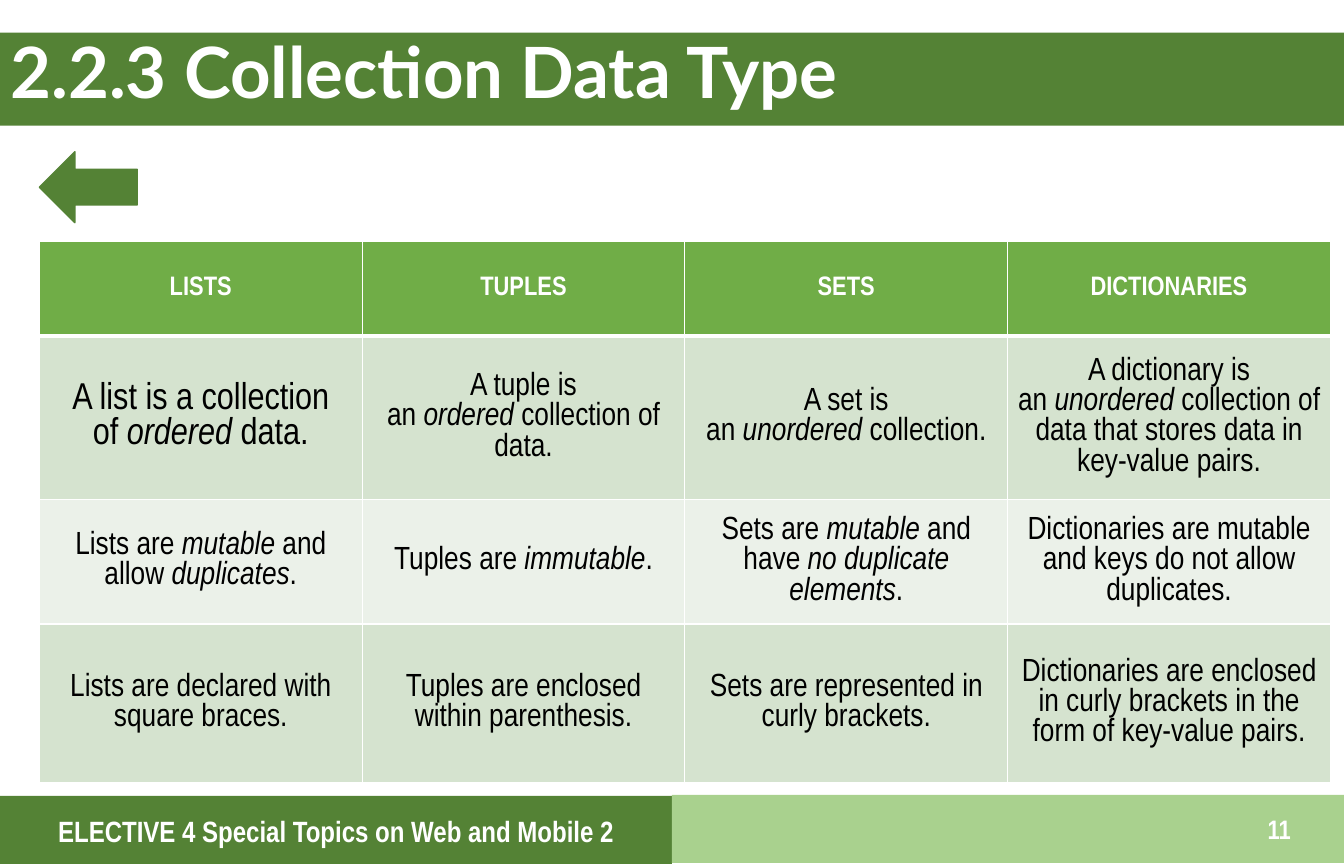
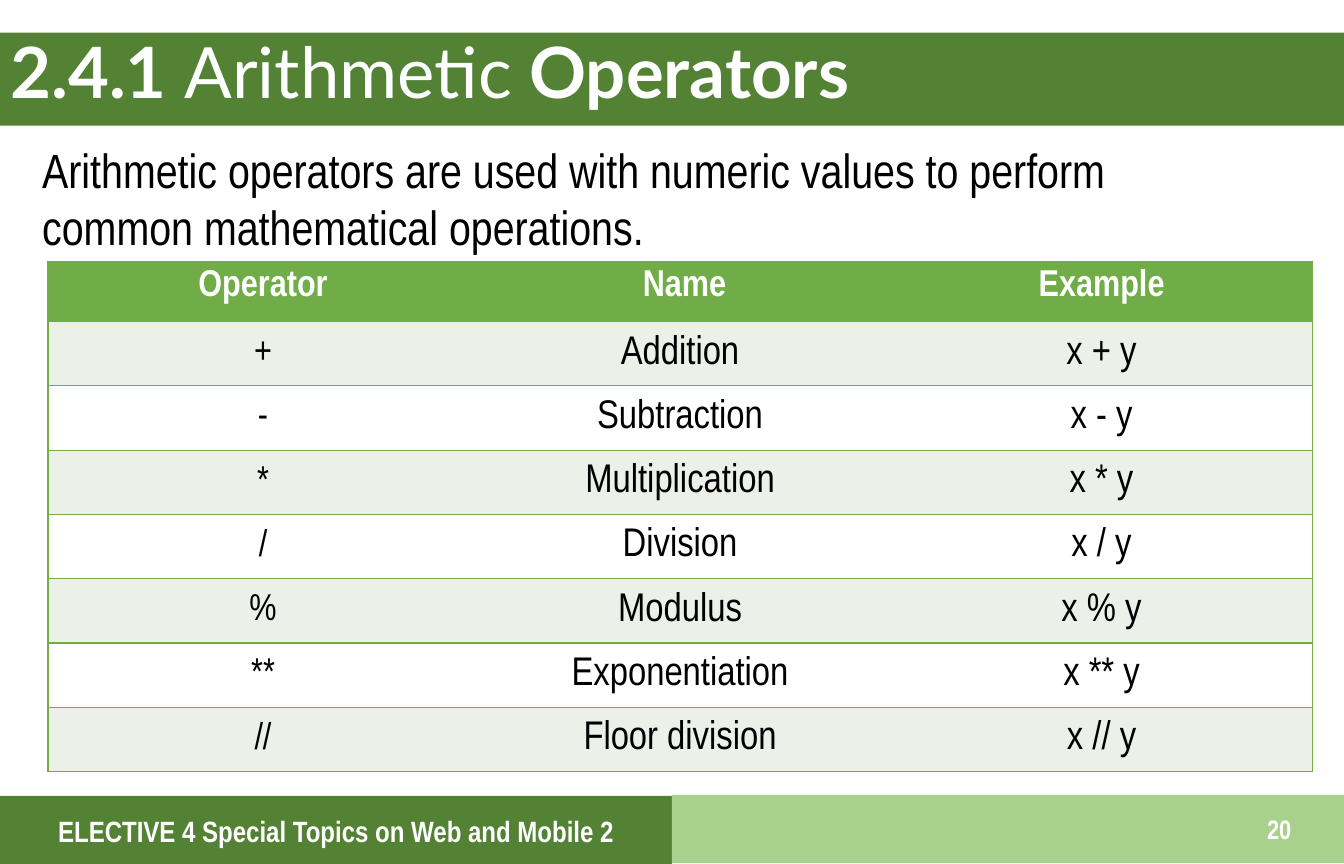
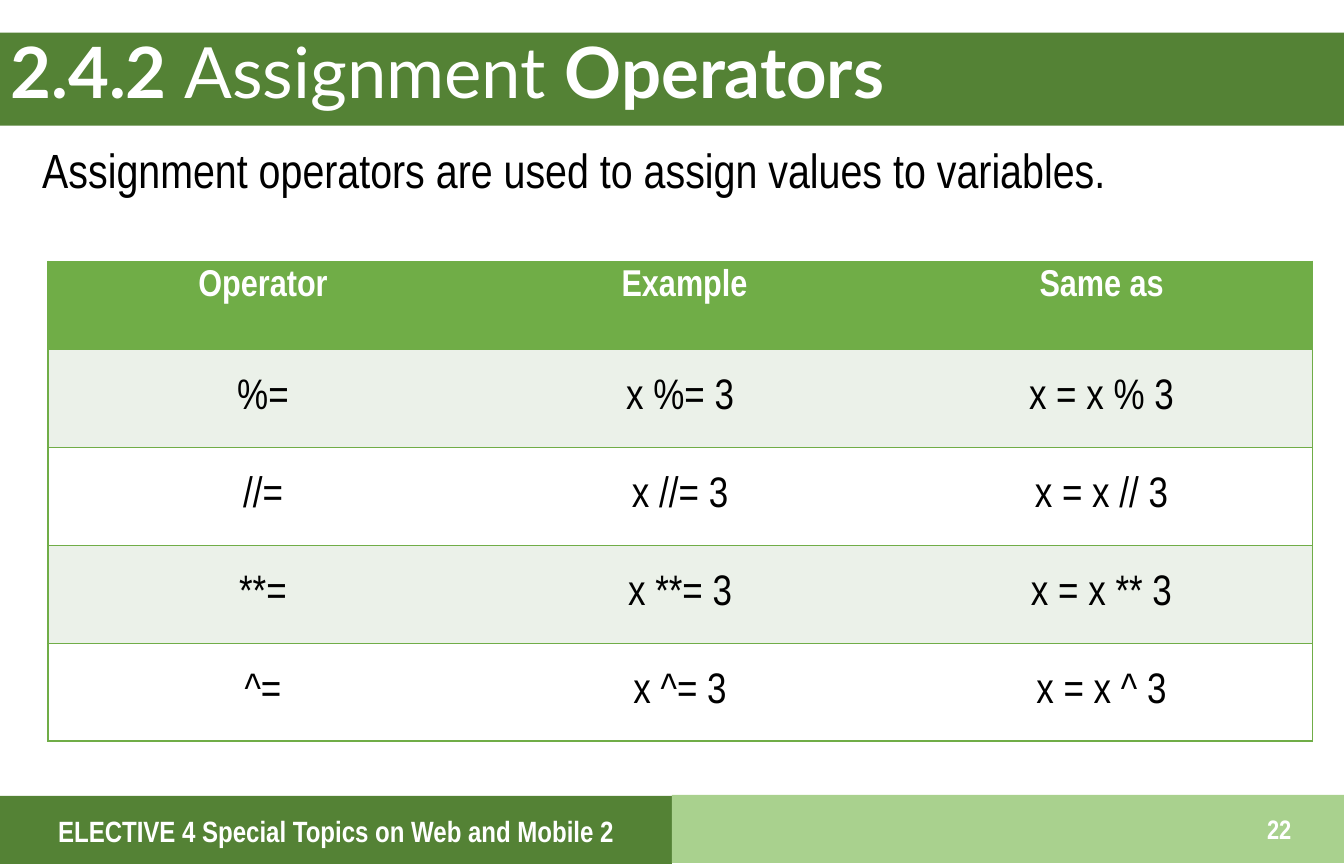
import pptx
import pptx.util
import pptx.dml.color
import pptx.enum.shapes
import pptx.enum.text
import lxml.etree
from pptx.util import Inches, Pt
from pptx.oxml.ns import qn

SHAPE = pptx.enum.shapes.MSO_SHAPE
ALIGN = pptx.enum.text.PP_ALIGN
ANCHOR = pptx.enum.text.MSO_ANCHOR

DARK, MID, LIGHT = "548235", "70AD47", "A9D18E"
BAND, PALE, WHITE, BLACK = "D5E3CF", "EBF1E9", "FFFFFF", "000000"
BODY = "Arial Narrow"
COURSE = "ELECTIVE 4 Special Topics on Web and Mobile 2"
NO_STYLE = "{2D5ABB26-0587-4C30-8999-92F81FD0307C}"
EDGES = ("L", "R", "T", "B")
TIE, HARD_SPACE = "~", chr(160)

COLLECTIONS = [
    ["LISTS", "TUPLES", "SETS", "DICTIONARIES"],
    ["A list is a collection of~|ordered|~data.",
     "A tuple is an~|ordered|~collection of data.",
     "A set is an~|unordered|~collection.",
     "A dictionary is an~|unordered|~collection of data that stores data in key-value pairs."],
    ["Lists are~|mutable| and allow |duplicates|.",
     "Tuples are~|immutable|.",
     "Sets are~|mutable|~and have~|no duplicate elements|.",
     "Dictionaries are mutable and keys do not allow duplicates."],
    ["Lists are declared with square braces.",
     "Tuples are enclosed within parenthesis.",
     "Sets are represented in curly brackets.",
     "Dictionaries are enclosed in curly brackets in the form of key-value pairs."],
]
ARITHMETIC = [("+", "Addition"), ("-", "Subtraction"), ("*", "Multiplication"),
              ("/", "Division"), ("%", "Modulus"), ("**", "Exponentiation"),
              ("//", "Floor division")]
ASSIGNMENT = ["%", "//", "**", "^"]


def rgb(value):
    """Return the colour for a hex string."""
    return pptx.dml.color.RGBColor.from_string(value)


def apply(target, formats):
    """Set every attribute in formats on target."""
    for name, value in formats.items():
        setattr(target, name, value)


def write(tf, text, size, color, font=BODY, bold=False, toggle="italic",
          align=ALIGN.CENTER, spacing=None):
    """Fill one paragraph, flipping the toggle format at bars and hardening ties."""
    p = tf.paragraphs[0]
    apply(p, {"alignment": align, "line_spacing": spacing})
    formats = {"name": font, "size": Pt(size), "bold": bold, "italic": False}
    for part in text.replace(TIE, HARD_SPACE).split("|"):
        r = p.add_run()
        r.text = part
        apply(r.font, formats)
        r.font.color.rgb = rgb(color)
        formats[toggle] = not formats[toggle]


def add_text(s, box, text, size, color, anchor=ANCHOR.TOP, **options):
    """Add a wrapped text box."""
    tf = s.shapes.add_textbox(*map(Inches, box)).text_frame
    apply(tf, {"word_wrap": True, "vertical_anchor": anchor,
               "margin_left": Inches(0.11), "margin_right": Inches(0.11),
               "margin_top": Inches(0.06), "margin_bottom": Inches(0.06)})
    write(tf, text, size, color, **options)


def add_block(s, kind, box, color, outlined=False):
    """Add a flat filled shape."""
    sp = s.shapes.add_shape(kind, *map(Inches, box))
    sp.shadow.inherit = False
    sp.fill.solid()
    sp.fill.fore_color.rgb = rgb(color)
    if outlined:
        sp.line.color.rgb = rgb(color)
        sp.line.width = Pt(1)
    else:
        sp.line.fill.background()


def set_borders(cell, borders):
    """Draw cell edges from a dict of edge to colour and width."""
    tc_pr = cell._tc.get_or_add_tcPr()
    drawn = [edge for edge in EDGES if edge in borders]
    for i, edge in enumerate(drawn):
        color, width = borders[edge]
        ln = lxml.etree.Element(qn(f"a:ln{edge}"), w=str(Pt(width)))
        fill = lxml.etree.SubElement(ln, qn("a:solidFill"))
        lxml.etree.SubElement(fill, qn("a:srgbClr"), val=color)
        tc_pr.insert(i, ln)


def add_grid(s, left, top, width, heights, columns):
    """Add an unstyled table with equal columns."""
    frame = s.shapes.add_table(len(heights), columns, Inches(left), Inches(top),
                               Inches(width), Inches(sum(heights)))
    table = frame.table
    apply(table, {"first_row": False, "horz_banding": False})
    table._tbl.tblPr.find(qn("a:tableStyleId")).text = NO_STYLE
    for row, height in zip(table.rows, heights):
        row.height = Inches(height)
    return table


def fill_cell(cell, text, size, color, fill, borders, anchor, margins, bold=False):
    """Set the text, fill, margins and edges of a cell."""
    apply(cell, {"vertical_anchor": anchor})
    apply(cell, {f"margin_{side}": Inches(m)
                 for side, m in zip(("left", "top", "right", "bottom"), margins)})
    cell.fill.solid()
    cell.fill.fore_color.rgb = rgb(fill)
    set_borders(cell, borders)
    write(cell.text_frame, text, size, color, bold=bold)


def add_comparison(s, rows):
    """Add the banded table that compares collection types."""
    table = add_grid(s, 0.41, 2.51, 13.45, [0.99, 1.65, 1.26, 1.65], len(rows[0]))
    for i, row in enumerate(rows):
        header = i == 0
        fill = MID if header else (PALE, BAND)[i % 2]
        borders = {edge: (WHITE, 1) for edge in EDGES}
        if header:
            borders["B"] = (WHITE, 3)
        elif i == 1:
            borders["T"] = (WHITE, 3)
        for j, text in enumerate(row):
            size = 20 if header else 28 if (i, j) == (1, 0) else 24
            fill_cell(table.cell(i, j), text, size, WHITE if header else BLACK, fill,
                      borders, ANCHOR.MIDDLE, (0.1, 0.05, 0.1, 0.05), bold=header)


def add_operators(s, rows, header_height, row_height, sizes):
    """Add a ruled table of operators."""
    heights = [header_height] + [row_height] * (len(rows) - 1)
    table = add_grid(s, 0.5, 2.72, 13.17, heights, 3)
    for i, row in enumerate(rows):
        header = i == 0
        fill = MID if header else (WHITE, PALE)[i % 2]
        for j, text in enumerate(row):
            edges = ("LTB", "TB", "TBR")[j]
            indent = 0.17 if j == 0 or (header and j == 1) else 0.08
            fill_cell(table.cell(i, j), text, 28 if header else sizes[j],
                      WHITE if header else BLACK, fill,
                      {edge: (MID, 1) for edge in edges},
                      ANCHOR.TOP if header else ANCHOR.MIDDLE,
                      (indent, 0.08, 0.08, 0.08), bold=header)


def add_page(prs, title, number, intro=None):
    """Add a slide with its bands, title, footer and optional intro."""
    s = prs.slides.add_slide(prs.slide_layouts[6])
    for box, color in (((0, 0.34, 14, 0.97), DARK), ((0, 8.29, 7, 0.71), DARK),
                       ((7, 8.28, 7, 0.71), LIGHT)):
        add_block(s, SHAPE.RECTANGLE, box, color)
    add_text(s, (0, 0.3, 12.84, 0.97), title, 53, WHITE, ANCHOR.MIDDLE, font="Lato",
             bold=True, toggle="bold", align=ALIGN.LEFT, spacing=0.9)
    add_text(s, (0, 8.41, 7, 0.48), COURSE, 22, WHITE, ANCHOR.MIDDLE, bold=True)
    add_text(s, (13.04, 8.41, 0.57, 0.48), str(number), 20, WHITE, bold=True)
    if intro:
        add_text(s, (0.33, 1.4, 12.98, 1.32), intro, 36, BLACK, align=ALIGN.LEFT)
    return s


def main():
    """Build and save the slides."""
    prs = pptx.Presentation()
    apply(prs, {"slide_width": Inches(14), "slide_height": Inches(9)})

    s = add_page(prs, "2.2.3 Collection Data Type", 11)
    add_block(s, SHAPE.LEFT_ARROW, (0.41, 1.58, 1.02, 0.74), DARK, outlined=True)
    add_comparison(s, COLLECTIONS)

    s = add_page(prs, "2.4.1 |Arithmetic| Operators", 20,
                 "Arithmetic operators are used with numeric values to perform "
                 "common mathematical operations.")
    rows = [("Operator", "Name", "Example")]
    rows += [(op, name, f"x {op} y") for op, name in ARITHMETIC]
    add_operators(s, rows, 0.63, 0.67, (28, 30, 30))

    s = add_page(prs, "2.4.2 |Assignment |Operators", 22,
                 "Assignment operators are used to assign values to variables.")
    rows = [("Operator", "Example", "Same as")]
    rows += [(f"{op}=", f"x {op}= 3", f"x = x {op} 3") for op in ASSIGNMENT]
    add_operators(s, rows, 0.92, 1.02, (32, 32, 32))

    prs.save("out.pptx")


if __name__ == "__main__":
    main()
